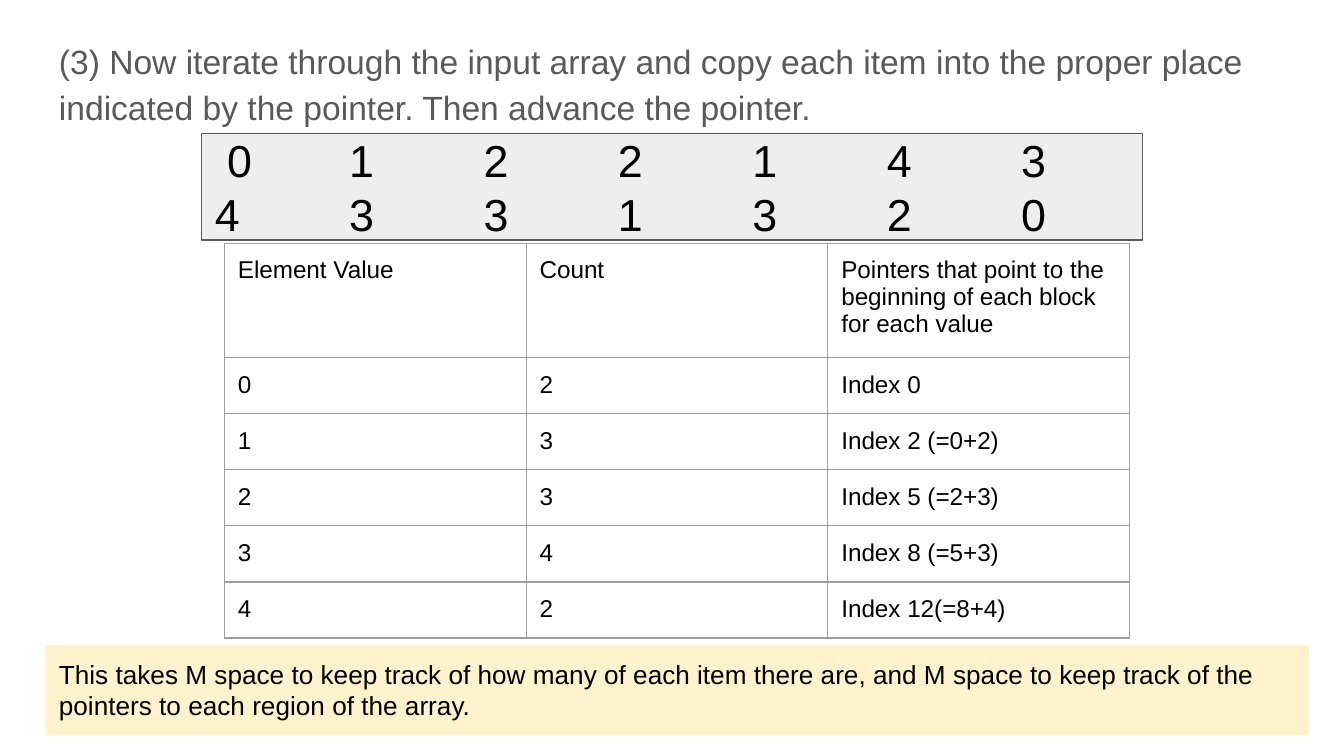
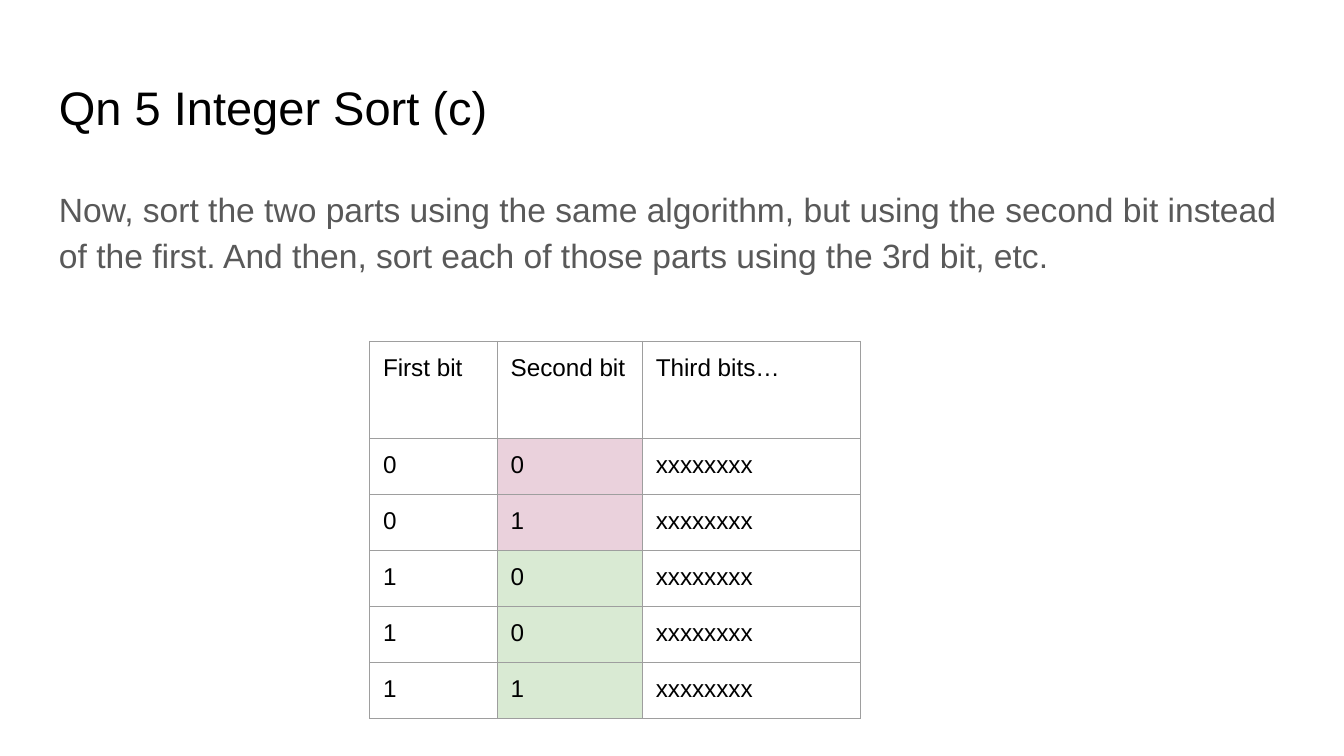
from lxml import etree
from pptx import Presentation
from pptx.dml.color import RGBColor
from pptx.enum.shapes import MSO_SHAPE
from pptx.enum.text import MSO_ANCHOR, MSO_AUTO_SIZE, PP_ALIGN
from pptx.oxml.ns import qn
from pptx.util import Emu, Pt

RECT = MSO_SHAPE.RECTANGLE
TOP, MIDDLE = MSO_ANCHOR.TOP, MSO_ANCHOR.MIDDLE
LEFT = PP_ALIGN.LEFT
GROW = MSO_AUTO_SIZE.SHAPE_TO_FIT_TEXT

BLACK = RGBColor(0x00, 0x00, 0x00)
GREY = RGBColor(0x59, 0x59, 0x59)
PALE = RGBColor(0xEE, 0xEE, 0xEE)
CREAM = RGBColor(0xFF, 0xF2, 0xCC)
PINK = RGBColor(0xEA, 0xD1, 0xDC)
GREEN = RGBColor(0xD9, 0xEA, 0xD3)
RULE = RGBColor(0x9E, 0x9E, 0x9E)

FONT = "Arial"
SCALE = 4572
WIDE, HIGH = 2000, 1125
EDGE, SPAN = 68, 1864
PAD = 20
STOP, STOPS = 200, 7
HAIR = Pt(0.75)

STEP = ("(3) Now iterate through the input array and copy each item into the "
        "proper place indicated by the pointer. Then advance the pointer.")
ITEMS = [0, 1, 2, 2, 1, 4, 3, 4, 3, 3, 1, 3, 2, 0]
COUNTS = [
    ("Element Value", "Count",
     "Pointers that point to the beginning of each block for each value"),
    ("0", "2", "Index 0"),
    ("1", "3", "Index 2 (=0+2)"),
    ("2", "3", "Index 5 (=2+3)"),
    ("3", "4", "Index 8 (=5+3)"),
    ("4", "2", "Index 12(=8+4)"),
]
NOTE = ("This takes M space to keep track of how many of each item there are, "
        "and M space to keep track of the pointers to each region of the array.")

TITLE = "Qn 5 Integer Sort (c)"
PARTS = ("Now, sort the two parts using the same algorithm, but using the second "
         "bit instead of the ﬁrst. And then, sort each of those parts using the "
         "3rd bit, etc.")
BITS = [("First bit", "Second bit", "Third bits…")] + [
    (first, second, "xxxxxxxx")
    for first, second in ("00", "01", "10", "10", "11")
]
TINTS = {"0": PINK, "1": GREEN}


def px(*sizes):
    return [Emu(size * SCALE) for size in sizes]


def inset(part):
    (part.margin_left, part.margin_right,
     part.margin_top, part.margin_bottom) = px(PAD, PAD, PAD, PAD)


def style(frame, text, size, color, space=None):
    frame.text = text
    for para in frame.paragraphs:
        para.alignment = LEFT
        if space:
            para.line_spacing = space
        for run in para.runs:
            run.font.name = FONT
            run.font.size = Pt(size)
            run.font.color.rgb = color


def write(shape, text, size, color, space=None):
    frame = shape.text_frame
    style(frame, text, size, color, space)
    frame.word_wrap = True
    inset(frame)


def label(slide, text, top, high, size, color, space=None):
    box = slide.shapes.add_textbox(*px(EDGE, top, SPAN, high))
    write(box, text, size, color, space)


def body(slide, text, top, high):
    label(slide, text, top, high, 18, GREY, 1.15)


def panel(slide, text, place, fill, size, anchor, line=None):
    box = slide.shapes.add_shape(RECT, *px(*place))
    box.shadow.inherit = False
    box.fill.solid()
    box.fill.fore_color.rgb = fill
    if line:
        box.line.color.rgb = line
        box.line.width = HAIR
    else:
        box.line.fill.background()
    write(box, text, size, BLACK)
    box.text_frame.vertical_anchor = anchor
    return box


def tabs(para):
    props = para._p.get_or_add_pPr()
    props.set("defTabSz", str(STOP * SCALE))
    stops = etree.SubElement(props, qn("a:tabLst"))
    for i in range(1, STOPS + 1):
        etree.SubElement(stops, qn("a:tab"), pos=str(i * STOP * SCALE), algn="l")


def border(cell):
    props = cell._tc.get_or_add_tcPr()
    for side in ("lnL", "lnR", "lnT", "lnB"):
        line = etree.SubElement(props, qn(f"a:{side}"), w=str(HAIR))
        fill = etree.SubElement(line, qn("a:solidFill"))
        etree.SubElement(fill, qn("a:srgbClr"), val=str(RULE))


def grid(slide, rows, left, top, cols, head, high, tint=None):
    total = head + high * (len(rows) - 1)
    place = px(left, top, sum(cols), total)
    table = slide.shapes.add_table(len(rows), len(cols), *place).table
    table.first_row = table.horz_banding = False
    for col, wide in zip(table.columns, px(*cols)):
        col.width = wide
    for r, row in enumerate(rows):
        table.rows[r].height, = px(high if r else head)
        for c, text in enumerate(row):
            cell = table.cell(r, c)
            style(cell.text_frame, text, 13, BLACK)
            inset(cell)
            cell.vertical_anchor = TOP
            border(cell)
            color = tint(r, c) if tint else None
            if color:
                cell.fill.solid()
                cell.fill.fore_color.rgb = color
            else:
                cell.fill.background()


def tint(r, c):
    return TINTS[BITS[r][0]] if r and c == 1 else None


def count(slide):
    body(slide, STEP, 32, 230)
    items = " " + "\t".join(map(str, ITEMS))
    array = panel(slide, items, (300, 199, 1400, 158), PALE, 24, MIDDLE, GREY)
    tabs(array.text_frame.paragraphs[0])
    grid(slide, COUNTS, 334, 362, [449] * 3, 144, 74)
    note = panel(slide, NOTE, (EDGE, 960, 1880, 134), CREAM, 14, TOP)
    note.text_frame.auto_size = GROW


def split(slide):
    label(slide, TITLE, 97, 126, 25.2, BLACK)
    body(slide, PARTS, 252, 854)
    grid(slide, BITS, 550, 508, [190, 216, 324], 144, 83, tint)


def main():
    deck = Presentation()
    deck.slide_width, deck.slide_height = px(WIDE, HIGH)
    for build in (count, split):
        build(deck.slides.add_slide(deck.slide_layouts[6]))
    deck.save("out.pptx")


if __name__ == "__main__":
    main()
